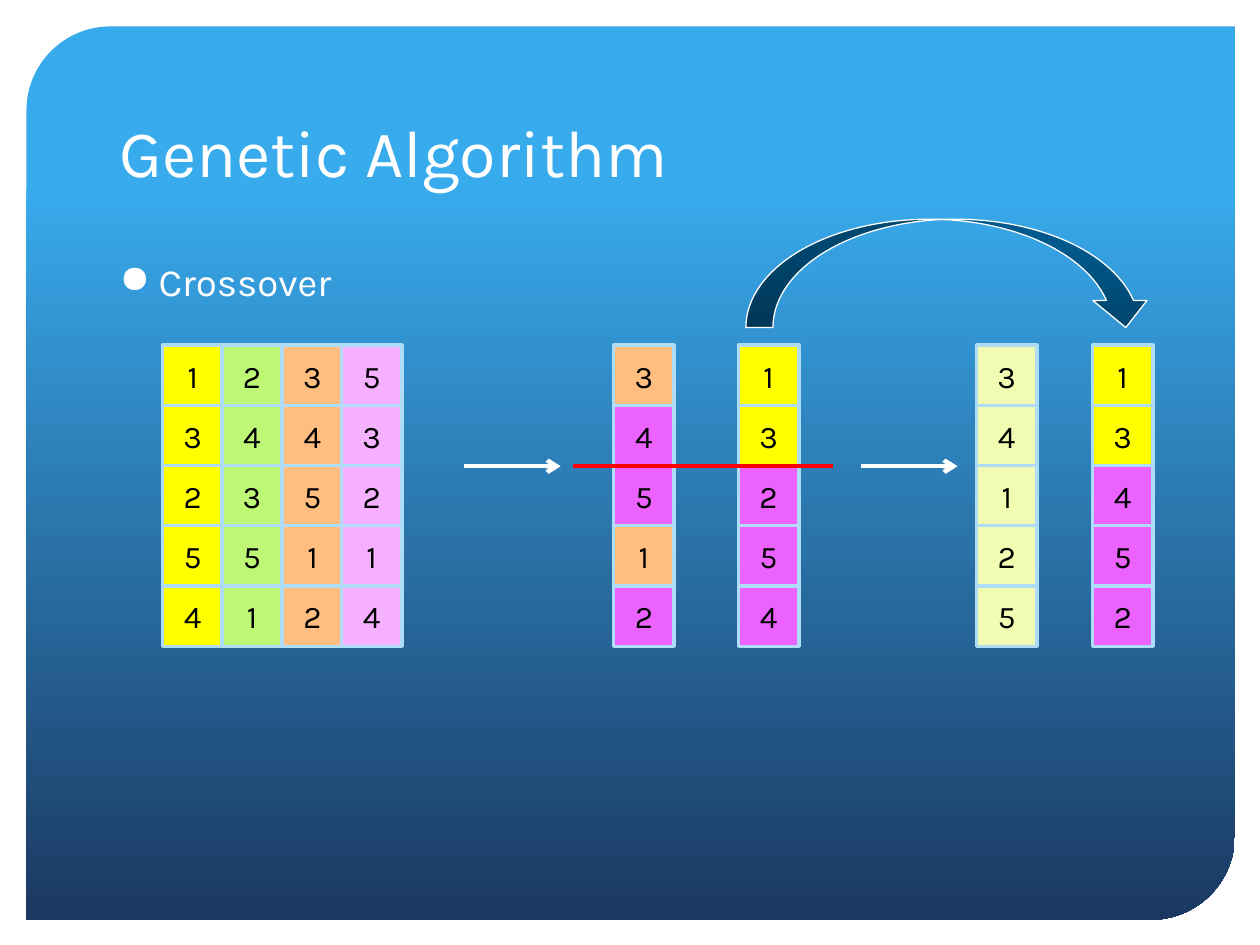
import pptx
import pptx.dml.color
import pptx.enum.shapes
import pptx.enum.text
import pptx.oxml
import pptx.oxml.ns
import pptx.util

Inches = pptx.util.Inches
Pt = pptx.util.Pt
RGBColor = pptx.dml.color.RGBColor
MSO_SHAPE = pptx.enum.shapes.MSO_SHAPE
MSO_ANCHOR = pptx.enum.text.MSO_ANCHOR
PP_ALIGN = pptx.enum.text.PP_ALIGN

WHITE = RGBColor(0xFF, 0xFF, 0xFF)
BLACK = RGBColor(0x00, 0x00, 0x00)
RED = RGBColor(0xFF, 0x00, 0x00)
SKY = RGBColor(0x38, 0xAB, 0xED)
NAVY = RGBColor(0x1B, 0x38, 0x61)
DEEP_TEAL = RGBColor(0x00, 0x45, 0x6D)
TEAL = RGBColor(0x00, 0x59, 0x8D)
CELL_BORDER = RGBColor(0xAF, 0xDD, 0xF8)
YELLOW = RGBColor(0xFF, 0xFF, 0x00)
GREEN = RGBColor(0xBE, 0xF6, 0x76)
ORANGE = RGBColor(0xFF, 0xBE, 0x7F)
PINK = RGBColor(0xF5, 0xB0, 0xFF)
MAGENTA = RGBColor(0xEB, 0x62, 0xFF)
CREAM = RGBColor(0xF1, 0xFB, 0xB1)

FONT = "Karla"
CELL = 0.48
ROW_TOP = 2.74
ROW_PITCH = 1.91 / 4
CUT_Y = 3.7


def write_text(shape, text, size, color, anchor, alignment):
    frame = shape.text_frame
    frame.word_wrap = True
    frame.vertical_anchor = anchor
    paragraph = frame.paragraphs[0]
    paragraph.alignment = alignment
    run = paragraph.add_run()
    run.text = text
    for name, value in {"name": FONT, "size": Pt(size)}.items():
        setattr(run.font, name, value)
    run.font.color.rgb = color
    return paragraph


def fill_gradient(shape, stops, angle):
    """Fill with two (position, color) stops; the angle runs counter-clockwise."""
    shape.fill.gradient()
    shape.fill.gradient_angle = angle
    for stop, (position, color) in zip(shape.fill.gradient_stops, stops):
        stop.position = position
        stop.color.rgb = color


presentation = pptx.Presentation()
presentation.slide_width = Inches(10)
presentation.slide_height = Inches(7.5)
slide = presentation.slides.add_slide(presentation.slide_layouts[6])
shapes = slide.shapes

# Background panel
panel = shapes.add_shape(MSO_SHAPE.ROUND_2_DIAG_RECTANGLE,
                         Inches(0.21), Inches(0.21), Inches(9.59), Inches(7.09))
panel.adjustments[0] = 0.094
panel.adjustments[1] = 0
panel.shadow.inherit = False
fill_gradient(panel, [(0.17, SKY), (1, NAVY)], 270)
panel.line.fill.background()

# Title and bullet
title = shapes.add_textbox(Inches(0.85), Inches(0.42), Inches(8.29), Inches(1.14))
write_text(title, "Genetic Algorithm", 38, WHITE, MSO_ANCHOR.BOTTOM, PP_ALIGN.LEFT)

body = shapes.add_textbox(Inches(0.85), Inches(2), Inches(8.29), Inches(4.6))
bullet = write_text(body, "Crossover", 22, WHITE, MSO_ANCHOR.TOP, PP_ALIGN.LEFT)
properties = bullet._p.get_or_add_pPr()
properties.set("marL", str(Inches(0.31)))
properties.set("indent", str(-Inches(0.31)))
properties.append(pptx.oxml.parse_xml(
    f'<a:buChar {pptx.oxml.ns.nsdecls("a")} char="●"/>'))

# Chromosomes: left edge, genes, colors from top to bottom
chromosomes = [
    (1.29, "13254", [YELLOW] * 5),
    (1.76, "24351", [GREEN] * 5),
    (2.24, "34512", [ORANGE] * 5),
    (2.71, "53214", [PINK] * 5),
    (4.87, "34512", [ORANGE, MAGENTA, MAGENTA, ORANGE, MAGENTA]),
    (5.86, "13254", [YELLOW] * 2 + [MAGENTA] * 3),
    (7.75, "34125", [CREAM] * 5),
    (8.67, "13452", [YELLOW] * 2 + [MAGENTA] * 3),
]
for left, genes, colors in chromosomes:
    for row, (gene, color) in enumerate(zip(genes, colors)):
        cell = shapes.add_shape(MSO_SHAPE.RECTANGLE, Inches(left),
                                Inches(ROW_TOP + row * ROW_PITCH),
                                Inches(CELL), Inches(CELL))
        cell.shadow.inherit = False
        cell.fill.solid()
        cell.fill.fore_color.rgb = color
        cell.line.color.rgb = CELL_BORDER
        cell.line.width = Pt(2)
        write_text(cell, gene, 18, BLACK, MSO_ANCHOR.MIDDLE, PP_ALIGN.CENTER)

# Step arrows and the crossover cut
for start, end, color, has_arrowhead in [
    (3.68, 4.45, WHITE, True),
    (4.55, 6.61, RED, False),
    (6.83, 7.6, WHITE, True),
]:
    connector = shapes.add_connector(pptx.enum.shapes.MSO_CONNECTOR.STRAIGHT,
                                     Inches(start), Inches(CUT_Y),
                                     Inches(end), Inches(CUT_Y))
    connector.line.color.rgb = color
    connector.line.width = Pt(2.5)
    if has_arrowhead:
        connector.line._get_or_add_ln().append(pptx.oxml.parse_xml(
            f'<a:tailEnd {pptx.oxml.ns.nsdecls("a")} type="arrow"/>'))
    connector._element.spPr.append(pptx.oxml.parse_xml(
        f'<a:effectLst {pptx.oxml.ns.nsdecls("a")}/>'))

# Inheritance arrow
inheritance = shapes.add_shape(MSO_SHAPE.CURVED_DOWN_ARROW,
                               Inches(5.92), Inches(1.74), Inches(3.23), Inches(0.86))
inheritance.shadow.inherit = False
fill_gradient(inheritance, [(0, DEEP_TEAL), (0.8, TEAL)], 90)
inheritance.line.color.rgb = WHITE
inheritance.line.width = Pt(0.75)

presentation.save("out.pptx")
